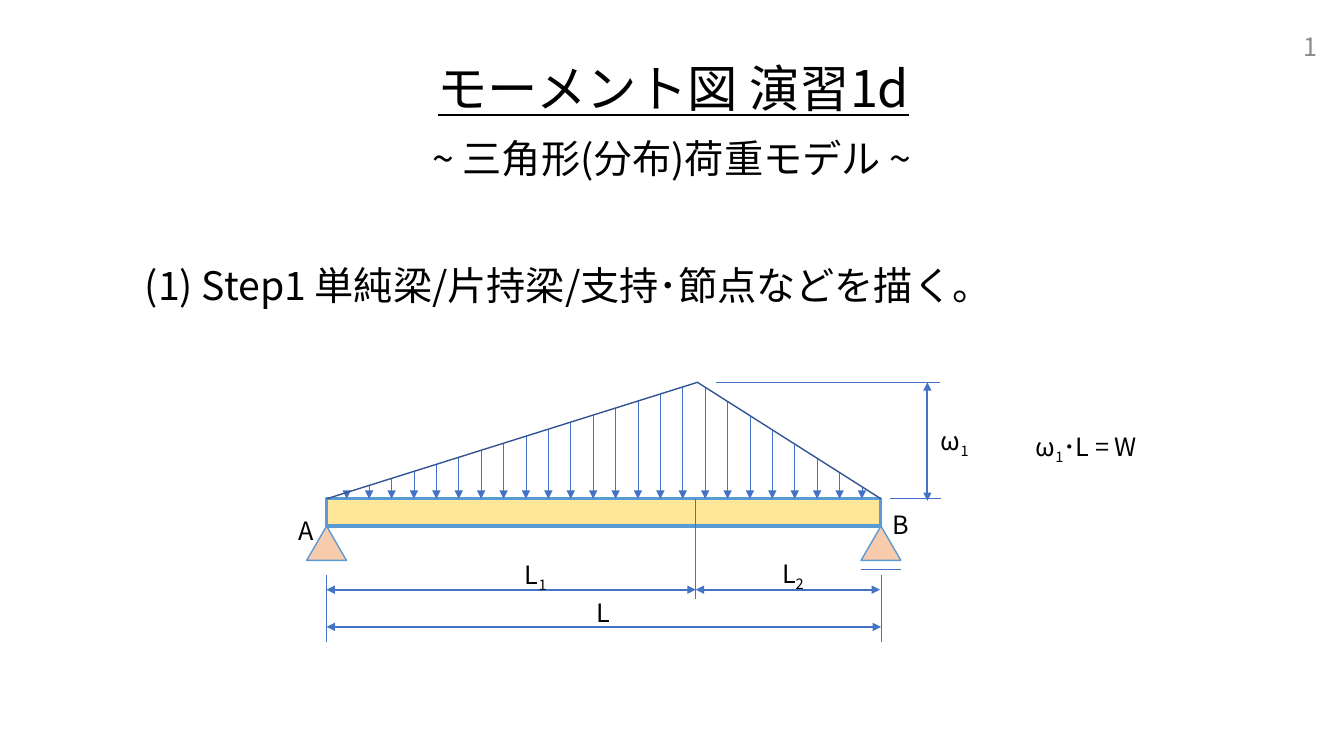
from lxml.etree import SubElement
from pptx import Presentation
from pptx.dml.color import RGBColor
from pptx.enum.shapes import MSO_CONNECTOR, MSO_SHAPE
from pptx.enum.text import MSO_ANCHOR as ANCHOR, MSO_AUTO_SIZE as AUTO_SIZE, PP_ALIGN as ALIGN
from pptx.oxml.ns import qn
from pptx.util import Pt

FONT = "Noto Sans CJK JP"
BLUE, BEAM_BLUE, LOAD_BLUE = "4472C4", "5B9BD5", "325491"
hex_color = RGBColor.from_string

presentation = Presentation()
presentation.slide_width, presentation.slide_height = Pt(960), Pt(540)
slide = presentation.slides.add_slide(presentation.slide_layouts[5])
shapes = slide.shapes


def write_text(shape, box, parts, size=18, color="000000", align=ALIGN.LEFT,
               anchor=ANCHOR.TOP, wrap=False, grow=True, spacing=None, underline=None):
    """Place shape at box and fill it; every second part is a subscript."""
    shape.left, shape.top, shape.width, shape.height = map(Pt, box)
    frame = shape.text_frame
    frame.word_wrap = wrap
    frame.auto_size = AUTO_SIZE.SHAPE_TO_FIT_TEXT if grow else AUTO_SIZE.NONE
    frame.vertical_anchor = anchor
    paragraph = frame.paragraphs[0]
    paragraph.alignment = align
    paragraph.line_spacing = spacing
    font_format = {"size": Pt(size), "name": FONT, "underline": underline}
    for index, part in enumerate(parts):
        run = paragraph.add_run()
        run.text = part
        for name, value in font_format.items():
            setattr(run.font, name, value)
        run.font.color.rgb = hex_color(color)
        properties = run._r.get_or_add_rPr()
        SubElement(properties, qn("a:ea"), typeface=FONT)
        if index % 2:
            properties.set("baseline", "-25000")
    return paragraph


def add_line(x1, y1, x2, y2, width=0.5, ends=()):
    """Draw a straight line; ends lists headEnd and tailEnd for arrowheads."""
    line = shapes.add_connector(MSO_CONNECTOR.STRAIGHT, Pt(x1), Pt(y1), Pt(x2), Pt(y2))
    line.line.color.rgb = hex_color(BLUE)
    line.line.width = Pt(width)
    for end in ends:
        SubElement(line.line._get_or_add_ln(), qn(f"a:{end}"), type="triangle")
    SubElement(line._element.spPr, qn("a:effectLst"))


# Headings and slide number
heading = {"align": ALIGN.CENTER, "anchor": ANCHOR.MIDDLE, "wrap": True,
           "grow": False, "spacing": 0.9}
write_text(shapes.title, (157, 20.2, 648, 90), ["モーメント図 演習1d"], 36, underline=True, **heading)
write_text(shapes.add_textbox(0, 0, 0, 0), (23, 69.8, 913.7, 90),
           ["~ 三角形(分布)荷重モデル ~"], 28, **heading)
write_text(shapes.add_textbox(0, 0, 0, 0), (96.5, 182.9, 609.8, 41),
           ["(1) Step1 単純梁/片持梁/支持･節点などを描く。"], 28, wrap=True)
number = write_text(shapes.add_textbox(0, 0, 0, 0), (732.2, 18.7, 216, 28.8), ["1"],
                    color="8C8C8C", align=ALIGN.RIGHT, anchor=ANCHOR.MIDDLE,
                    wrap=True, grow=False)
field = number.runs[0]._r
field.tag = qn("a:fld")
field.set("id", "{B6F15528-21DE-4FAA-801E-634DDDAF4B2B}")
field.set("type", "slidenum")

# Beam and its supports
beam_left, beam_right, beam_top, beam_height = 233.3, 629.3, 356.3, 19.5
beam_bottom = beam_top + beam_height
support_width, support_height = 28.4, 24.5
beam_parts = [(MSO_SHAPE.RECTANGLE, beam_left, beam_top, beam_right - beam_left,
               beam_height, "FFE699", 2.25)]
for end_x in (beam_left, beam_right):
    beam_parts.append((MSO_SHAPE.ISOSCELES_TRIANGLE, end_x - support_width / 2, beam_bottom,
                       support_width, support_height, "F8CBAD", 1))
for kind, left, top, width, height, fill, line_width in beam_parts:
    part = shapes.add_shape(kind, Pt(left), Pt(top), Pt(width), Pt(height))
    part.shadow.inherit = False
    part.fill.solid()
    part.fill.fore_color.rgb = hex_color(fill)
    part.line.color.rgb = hex_color(BEAM_BLUE)
    part.line.width = Pt(line_width)
add_line(beam_right - support_width / 2, 406.8, beam_right + support_width / 2, 406.8)

# Triangular load
peak_x, peak_y = 498.2, 273.1
load_height = beam_top - peak_y
for index in range(24):
    x = 247.7 + 16 * index
    foot = beam_left if x < peak_x else beam_right
    load_top = beam_top - load_height * (x - foot) / (peak_x - foot)
    add_line(x, load_top, x, beam_top, ends=["tailEnd"])

builder = shapes.build_freeform(Pt(beam_left), Pt(beam_top))
builder.add_line_segments([(Pt(peak_x), Pt(peak_y)), (Pt(beam_right), Pt(beam_top))], close=False)
outline = builder.convert_to_shape()
outline.shadow.inherit = False
outline.fill.background()
outline.line.color.rgb = hex_color(LOAD_BLUE)
outline.line.width = Pt(1)

# Dimension lines
split_x, height_x = 497, 662.4
for extension in [
    (beam_left, 411, beam_left, 458.6),
    (beam_right, 411, beam_right, 458.6),
    (split_x, beam_top, split_x, 427.7),
    (511.2, peak_y, 671.8, peak_y),
    (635.8, beam_top, 672.5, beam_top),
]:
    add_line(*extension)
for dimension in [
    (beam_left, 447.8, beam_right, 447.8),
    (beam_left, 421.2, split_x, 421.2),
    (split_x, 421.2, beam_right - 0.7, 421.2),
    (height_x, 357.8, height_x, peak_y),
]:
    add_line(*dimension, width=1.5, ends=["headEnd", "tailEnd"])

# Labels
for left, top, width, parts in [
    (205.9, 364.3, 25.9, ["A"]),
    (630.7, 360, 26.6, ["B"]),
    (419, 423.4, 25.2, ["L"]),
    (367.9, 396, 32.4, ["L", "1"]),
    (551.5, 395.3, 32.4, ["L", "2"]),
    (661, 300.2, 44.6, [" ω", "1"]),
    (728.6, 304.6, 108, [" ω", "1", "･L = W"]),
]:
    write_text(shapes.add_textbox(0, 0, 0, 0), (left, top, width, 29), parts)

presentation.save("out.pptx")
